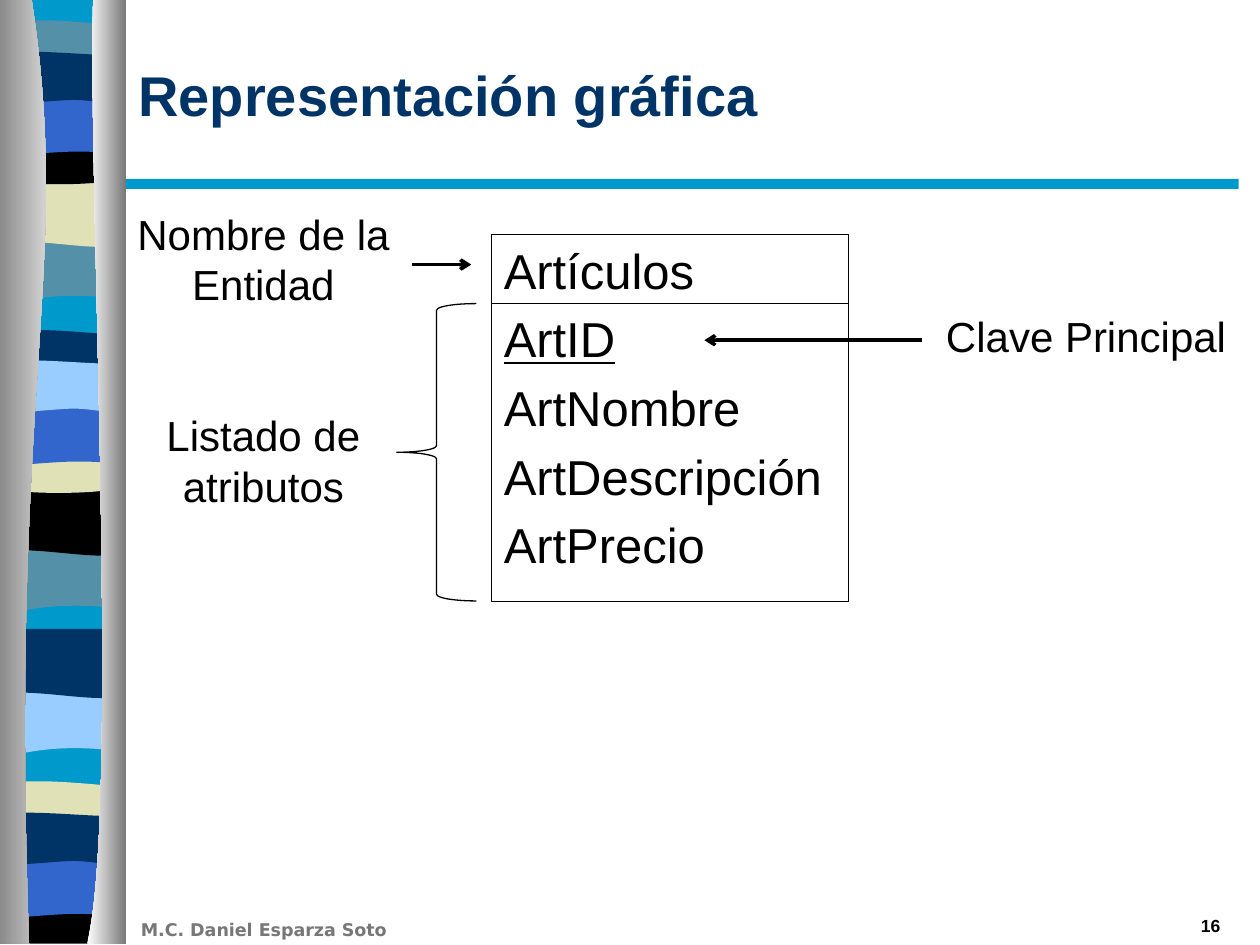
from dataclasses import dataclass

from lxml import etree
from pptx import Presentation
from pptx.dml.color import RGBColor
from pptx.enum.shapes import MSO_CONNECTOR as Link, MSO_SHAPE as Preset
from pptx.enum.text import MSO_ANCHOR as Anchor, PP_ALIGN as Align
from pptx.oxml.ns import qn
from pptx.util import Pt

BLACK, WHITE, GREY = "000000", "FFFFFF", "767676"
NAVY, CYAN, TEAL = "003366", "0099CC", "5490A8"
SAND, BLUE, SKY = "E1E1B7", "3366CC", "99CCFF"

# Band outlines relative to the band's top: pairs are corners, sixes are curves
LEFT, RIGHT = -3.6, 70.4
OUTLINES = {
    "wave": [(RIGHT, 0), (RIGHT, 37.8), (19.4, 31.2, 9.4, 44, LEFT, 37.8), (LEFT, 0)],
    "swell": [(RIGHT, 0), (RIGHT, 37.6), (58, 43.8, 19.4, 33.1, LEFT, 37.6), (LEFT, 0)],
    "lens": [(RIGHT, -0.4), (RIGHT, 18.1), (58, 21.9, 9.4, 21.9, LEFT, 18.1),
             (LEFT, -0.4), (1.4, -4.2, 13, -3.5, 25, -3.5),
             (37.4, -3.5, 61.2, -1.1, RIGHT, -0.4)],
    "bowl": [(RIGHT, 0), (RIGHT, 24), (58, 28.6, 9.4, 28.6, LEFT, 24), (LEFT, 0),
             (42.5, 3.6, 55.4, 0, RIGHT, 0)],
    "foot": [(RIGHT, 0), (RIGHT, 26.6), (LEFT, 26.6), (LEFT, 0),
             (42.5, 3.6, 55.4, 0, RIGHT, 0)],
    "arch": [(RIGHT, 0), (RIGHT, 36), (59, 33.4, 54.5, 33.4, 42.3, 33.4),
             (30.2, 33.4, 7.9, 36, LEFT, 36), (LEFT, 0)],
    "ripple": [(RIGHT, -1.8), (RIGHT, 24), (66.2, 28.2, 54.7, 24, 42.3, 24),
               (30.2, 24, 4.3, 28.2, LEFT, 24), (LEFT, -1.8),
               (7.2, -5.9, 46.8, -1.8, 59, -1.8)],
}


@dataclass
class Band:
    outline: str
    top: float
    color: str


@dataclass
class Label:
    lines: list[str]
    left: float
    top: float
    width: float
    height: float
    size: float
    color: str = BLACK
    bold: bool = False
    font: str = "Arial"
    align: Align = Align.LEFT
    anchor: Anchor = Anchor.TOP
    spacing: float | None = None
    gap: float = 0


@dataclass
class Line:
    start: tuple[float, float]
    end: tuple[float, float]
    weight: float
    arrow: bool = False


BANDS = [
    Band("wave", 133.2, TEAL), Band("swell", 101.5, SAND), Band("lens", 15.1, TEAL),
    Band("bowl", 77.8, BLACK), Band("arch", 53.3, BLUE), Band("ripple", 33.1, NAVY),
    Band("wave", 310.3, TEAL), Band("swell", 277.9, BLACK), Band("lens", 192.2, NAVY),
    Band("bowl", 254.2, SAND), Band("arch", 230.4, BLUE), Band("ripple", 209.5, SKY),
    Band("wave", 391.7, SKY), Band("swell", 359.3, NAVY), Band("lens", 450, SAND),
    Band("foot", 512.6, BLACK), Band("arch", 488.9, BLUE), Band("ripple", 468, NAVY),
]
LABELS = [
    Label(["M.C. Daniel Esparza Soto"], 73.4, 521.8, 204, 19.4, 10, "777777", True,
          "DejaVu Sans"),
    Label(["Representación gráfica"], 72, 8.6, 632, 90, 32, NAVY, True,
          anchor=Anchor.MIDDLE),
    Label(["16"], 554.4, 519.1, 150, 18.7, 10, bold=True, align=Align.RIGHT),
    Label(["Nombre de la Entidad", "Listado de atributos"], 59.8, 115.5, 181.4, 181.4,
          24, align=Align.CENTER, spacing=28.8, gap=57.6),
    Label(["Clave Principal"], 529.9, 173.8, 181.4, 36, 24, align=Align.CENTER,
          spacing=28.8),
]
ENTITY = Label(["Artículos", "ArtID", "ArtNombre", "ArtDescripción", "ArtPrecio"],
               280.8, 133.9, 203.8, 209.5, 28, spacing=33.6, gap=5.6)
KEY = "ArtID"
DIVIDER_TOP = 173.5
LINES = [
    Line((ENTITY.left, DIVIDER_TOP), (ENTITY.left + ENTITY.width, DIVIDER_TOP), 0.75),
    Line((235.4, 151.2), (269.3, 151.2), 2, arrow=True),
    Line((527, 194.4), (402.5, 194.4), 2, arrow=True),
]


def rgb(color: str) -> RGBColor:
    return RGBColor.from_string(color)


def paint(shape, fill: str, line: str | None = None, weight: float = 0) -> None:
    shape.shadow.inherit = False
    shape.fill.solid()
    shape.fill.fore_color.rgb = rgb(fill)
    if line:
        shape.line.color.rgb = rgb(line)
        shape.line.width = Pt(weight)
    else:
        shape.line.fill.background()


def add_outline(page, outline: list[tuple], color: str, top: float = 0):
    """Draw corners and control points, then join each curve's three points."""
    points = [(part[i] * 100, (part[i + 1] + top) * 100)
              for part in outline for i in range(0, len(part), 2)]
    builder = page.shapes.build_freeform(*points[0], scale=Pt(1) / 100)
    builder.add_line_segments(points[1:], close=True)
    shape = builder.convert_to_shape()
    segments = iter(list(shape._element.iter(qn("a:lnTo"))))
    for part in outline[1:]:
        first = next(segments)
        if len(part) == 6:
            first.tag = qn("a:cubicBezTo")
            for _ in range(2):
                extra = next(segments)
                first.append(extra[0])
                extra.getparent().remove(extra)
    paint(shape, color)
    return shape


def add_column(page, outline: list[tuple], colors: tuple[str, str]) -> None:
    shape = add_outline(page, outline, WHITE)
    shape.fill.gradient()
    shape.fill.gradient_angle = 0
    for stop, color in zip(shape.fill.gradient_stops, colors):
        stop.color.rgb = rgb(color)


def write(box, label: Label) -> None:
    frame = box.text_frame
    frame.word_wrap = True
    frame.vertical_anchor = label.anchor
    for index, line in enumerate(label.lines):
        para = frame.paragraphs[0] if index == 0 else frame.add_paragraph()
        para.text = line
        para.alignment = label.align
        if label.spacing:
            para.line_spacing = Pt(label.spacing)
        if index:
            para.space_before = Pt(label.gap)
        font = para.font
        font.name, font.size, font.bold = label.font, Pt(label.size), label.bold
        font.underline = line == KEY
        font.color.rgb = rgb(label.color)


def add_label(page, label: Label) -> None:
    write(page.shapes.add_textbox(Pt(label.left), Pt(label.top), Pt(label.width),
                                  Pt(label.height)), label)


def add_line(page, line: Line) -> None:
    link = page.shapes.add_connector(Link.STRAIGHT, *map(Pt, line.start + line.end))
    link.line.color.rgb = rgb(BLACK)
    link.line.width = Pt(line.weight)
    if line.arrow:
        etree.SubElement(link.line._get_or_add_ln(), qn("a:tailEnd"), type="arrow")
    etree.SubElement(link._element.spPr, qn("a:effectLst"))


def main() -> None:
    deck = Presentation()
    deck.slide_width, deck.slide_height = Pt(720), Pt(540)
    page = deck.slides.add_slide(deck.slide_layouts[6])

    # Striped ribbon between two shaded columns
    add_outline(page, [(RIGHT, 0), (RIGHT, 538), (LEFT, 538), (LEFT, 0)], CYAN)
    for band in BANDS:
        add_outline(page, OUTLINES[band.outline], band.color, band.top)
    add_column(page, [(18, -0.7), (41.8, 155.5, 5, 213, 16.6, 539.3), (-6.5, 539.3),
                      (-7.2, -0.7)], (GREY, WHITE))
    add_column(page, [(53.3, -0.7), (49.7, 90, 69.1, 465, 49.7, 539.3), (72.4, 539.3),
                      (72.4, 0)], (WHITE, GREY))

    # Rule under the title
    rule = page.shapes.add_shape(Preset.RECTANGLE, Pt(72), Pt(102.2), Pt(635.8), Pt(5.8))
    paint(rule, CYAN)

    # Entity with its attributes
    entity = page.shapes.add_shape(Preset.RECTANGLE, Pt(ENTITY.left), Pt(ENTITY.top),
                                   Pt(ENTITY.width), Pt(ENTITY.height))
    paint(entity, WHITE, BLACK, 0.25)
    write(entity, ENTITY)
    entity.text_frame.margin_top = Pt(3.4)
    brace = page.shapes.add_shape(Preset.LEFT_BRACE, Pt(226.8), Pt(DIVIDER_TOP),
                                  Pt(45.4), Pt(169.9))
    paint(brace, WHITE, BLACK, 0.75)

    # Title, footer and captions, then divider and arrows
    for label in LABELS:
        add_label(page, label)
    for line in LINES:
        add_line(page, line)

    deck.save("out.pptx")


if __name__ == "__main__":
    main()
